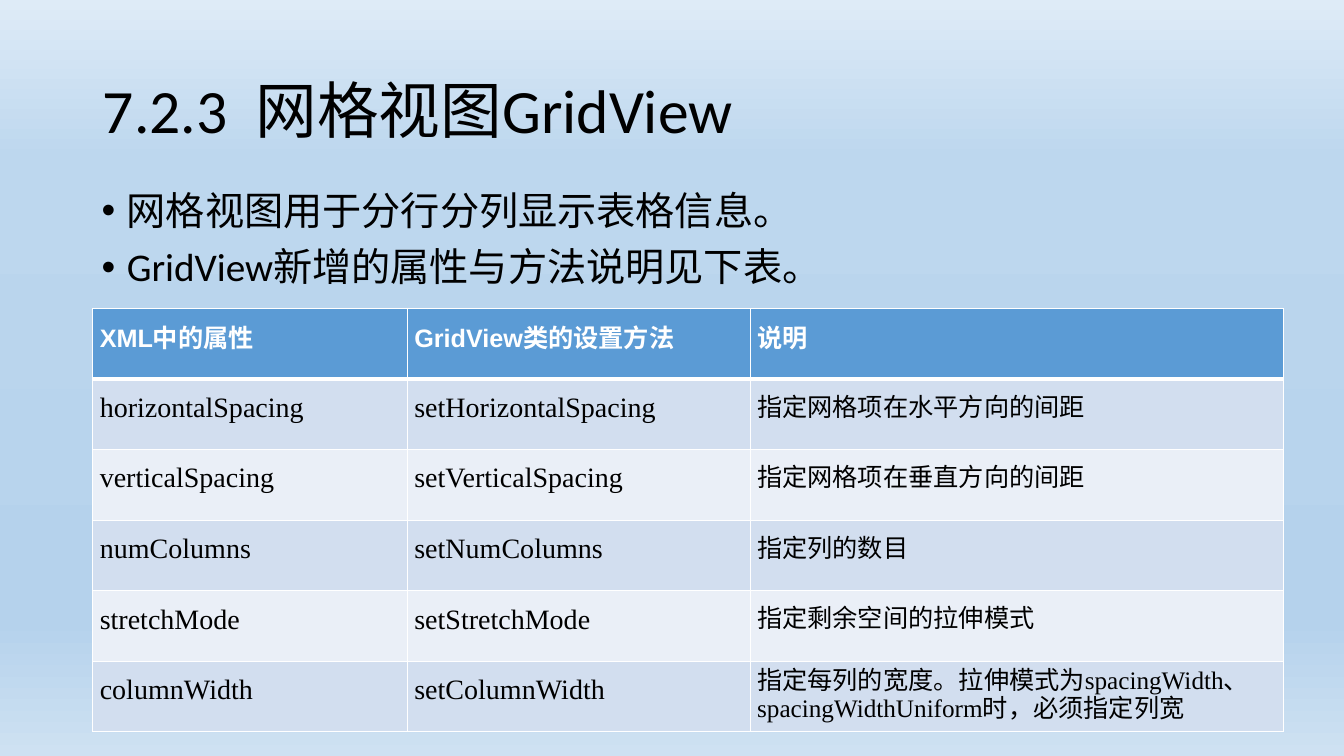
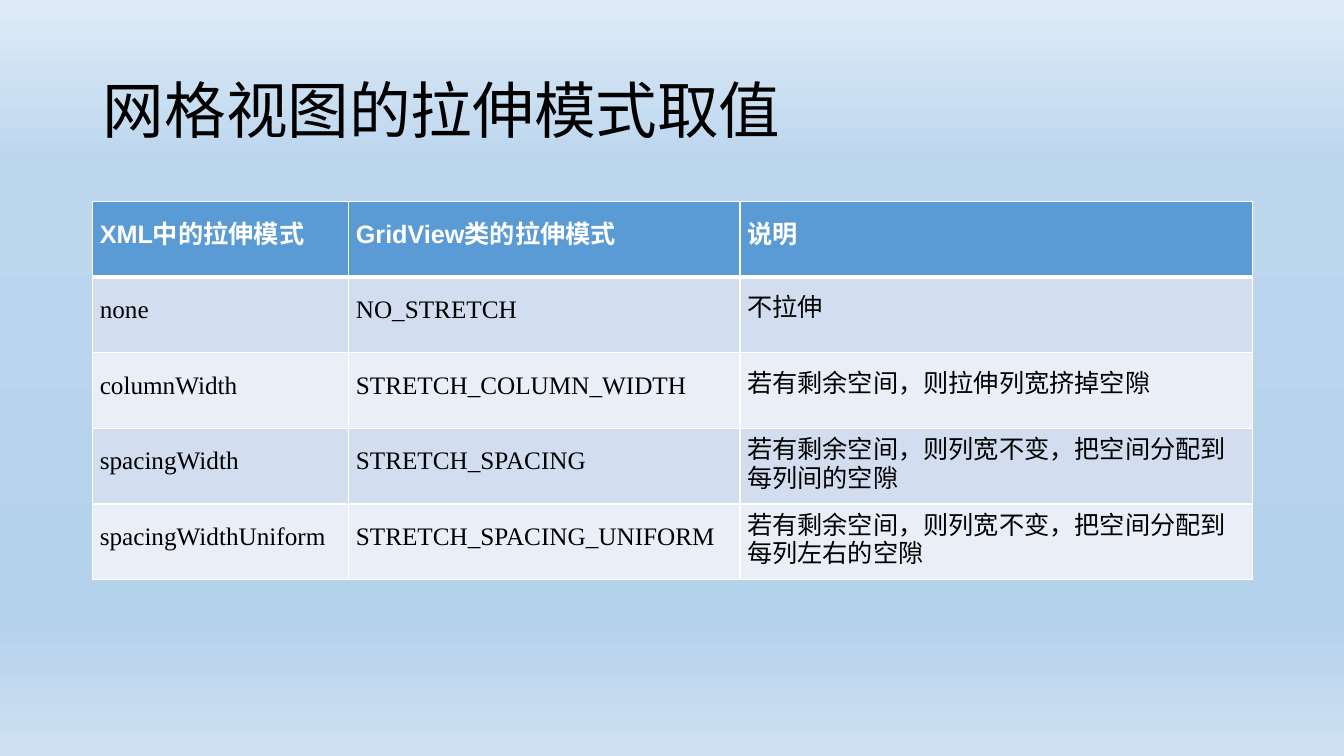
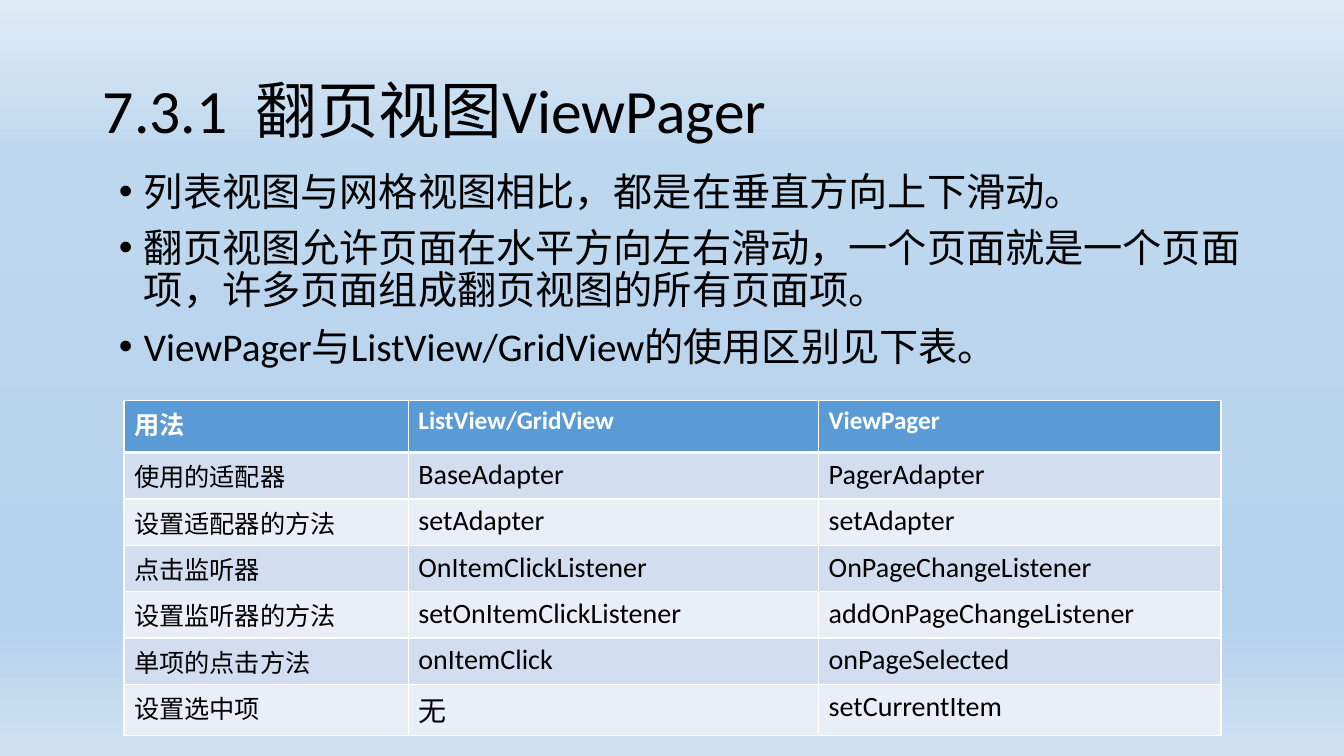
"""Three slides on grid and pager views, each a title, optional bullets and a table."""
from copy import deepcopy
from dataclasses import dataclass

from pptx import Presentation
from pptx.dml.color import RGBColor
from pptx.enum.text import MSO_ANCHOR, MSO_AUTO_SIZE, PP_ALIGN
from pptx.oxml.ns import qn
from pptx.util import Inches, Pt
from lxml.etree import SubElement


@dataclass(frozen=True)
class Theme:
    sky: tuple = ((0, "DEEBF7"), (0.21, "BDD7EE"), (0.82, "B5D2EC"), (1, "CEE1F2"))
    ink: str = "000000"
    white: str = "FFFFFF"
    head: str = "5B9BD5"
    bands: tuple = ("D2DEEF", "EAEFF7")
    font: str = "Calibri"
    title: int = 44
    body: int = 28
    label: int = 18
    edge: int = 1
    rule: int = 3


LOOK = Theme()
WIDE, HIGH = 13.33, 7.5
LEFT, SPAN = 0.92, 11.5
FORMAL = dict(head_font="Arial", font="Times New Roman", tight=True)

SLIDES = [
    dict(
        title="7.2.3  网格视图GridView",
        body=dict(at=(0.91, 1.85, SPAN, 1.15), lines=[
            "网格视图用于分行分列显示表格信息。",
            "GridView新增的属性与方法说明见下表。",
        ]),
        table=dict(
            FORMAL, at=(LEFT, 3.06), cols=(3.12, 3.4, 5.29), heights=[0.7] * 6,
            sizes=(20, 20, 18),
            rows=[
                ("XML中的属性", "GridView类的设置方法", "说明"),
                ("horizontalSpacing", "setHorizontalSpacing", "指定网格项在水平方向的间距"),
                ("verticalSpacing", "setVerticalSpacing", "指定网格项在垂直方向的间距"),
                ("numColumns", "setNumColumns", "指定列的数目"),
                ("stretchMode", "setStretchMode", "指定剩余空间的拉伸模式"),
                ("columnWidth", "setColumnWidth",
                 "指定每列的宽度。拉伸模式为spacingWidth、spacingWidthUniform时，必须指定列宽"),
            ]),
    ),
    dict(
        title="网格视图的拉伸模式取值",
        table=dict(
            FORMAL, at=(LEFT, 2), cols=(2.54, 3.88, 5.08), heights=[0.75] * 5,
            sizes=(18, 18, 18),
            rows=[
                ("XML中的拉伸模式", "GridView类的拉伸模式", "说明"),
                ("none", "NO_STRETCH", "不拉伸"),
                ("columnWidth", "STRETCH_COLUMN_WIDTH", "若有剩余空间，则拉伸列宽挤掉空隙"),
                ("spacingWidth", "STRETCH_SPACING",
                 "若有剩余空间，则列宽不变，把空间分配到每列间的空隙"),
                ("spacingWidthUniform", "STRETCH_SPACING_UNIFORM",
                 "若有剩余空间，则列宽不变，把空间分配到每列左右的空隙"),
            ]),
    ),
    dict(
        title="7.3.1  翻页视图ViewPager",
        body=dict(at=(1.08, 1.66, SPAN, 2.2), lines=[
            "列表视图与网格视图相比，都是在垂直方向上下滑动。",
            "翻页视图允许页面在水平方向左右滑动，一个页面就是一个页面项，许多页面组成翻页视图的所有页面项。",
            "ViewPager与ListView/GridView的使用区别见下表。",
        ]),
        table=dict(
            at=(1.23, 3.97), cols=(2.82, 4.07, 3.99),
            heights=[0.52] + [0.46] * 5 + [0.51], sizes=(18, 20, 20),
            rows=[
                ("用法", "ListView/GridView", "ViewPager"),
                ("使用的适配器", "BaseAdapter", "PagerAdapter"),
                ("设置适配器的方法", "setAdapter", "setAdapter"),
                ("点击监听器", "OnItemClickListener", "OnPageChangeListener"),
                ("设置监听器的方法", "setOnItemClickListener", "addOnPageChangeListener"),
                ("单项的点击方法", "onItemClick", "onPageSelected"),
                ("设置选中项", "无", "setCurrentItem"),
            ]),
    ),
]


def write(frame, *lines, size, font=LOOK.font, color=LOOK.ink, bold=False,
          align=PP_ALIGN.LEFT, spacing=None, before=0, bullet=False):
    frame.word_wrap = True
    for i, line in enumerate(lines):
        para = frame.add_paragraph() if i else frame.paragraphs[0]
        if bullet:
            props = para._p.get_or_add_pPr()
            props.set("marL", str(Inches(0.25)))
            props.set("indent", str(-Inches(0.25)))
            SubElement(props, qn("a:buFont")).set("typeface", "Arial")
            SubElement(props, qn("a:buChar")).set("char", "•")
        para.alignment = align
        para.line_spacing = spacing
        para.space_before = Pt(before if i else 0)
        run = para.add_run()
        run.text = line
        run.font.size, run.font.name, run.font.bold = Pt(size), font, bold
        run.font.color.rgb = RGBColor.from_string(color)


def place(shape, at):
    shape.left, shape.top, shape.width, shape.height = map(Inches, at)


def paint(master):
    fill = master.background.fill
    fill.gradient()
    fill.gradient_angle = 270
    stops = master.element.find(".//" + qn("a:gsLst"))
    for stop in list(stops):
        stops.append(deepcopy(stop))
    for stop, (share, color) in zip(fill.gradient_stops, LOOK.sky):
        stop.position = share
        stop.color.rgb = RGBColor.from_string(color)


def border(cell, head):
    props = cell._tc.get_or_add_tcPr()
    for side in "LRTB":
        width = LOOK.rule if head and side == "B" else LOOK.edge
        line = SubElement(props, qn("a:ln" + side), w=str(Pt(width)))
        fill = SubElement(line, qn("a:solidFill"))
        SubElement(fill, qn("a:srgbClr")).set("val", LOOK.white)


def grid(slide, at, cols, heights, sizes, rows,
         head_font=LOOK.font, font=LOOK.font, tight=False):
    size = sum(cols), sum(heights)
    table = slide.shapes.add_table(len(rows), len(cols), *map(Inches, at + size)).table
    for col, width in zip(table.columns, cols):
        col.width = Inches(width)
    for r, texts in enumerate(rows):
        head = r == 0
        table.rows[r].height = Inches(heights[r])
        for c, text in enumerate(texts):
            cell = table.cell(r, c)
            border(cell, head)
            cell.fill.solid()
            cell.fill.fore_color.rgb = RGBColor.from_string(
                LOOK.head if head else LOOK.bands[(r - 1) % 2])
            spacing = None
            if tight:
                cell.vertical_anchor = MSO_ANCHOR.MIDDLE
                cell.margin_left = cell.margin_right = Inches(0.07)
                cell.margin_top = cell.margin_bottom = 0
                wraps = c == 2 and len(text) > 20
                spacing = Pt(15.6 if head else 20 if wraps else 13)
            write(cell.text_frame, text, spacing=spacing, bold=head,
                  size=LOOK.label if head else sizes[c],
                  font=head_font if head else font,
                  color=LOOK.white if head else LOOK.ink,
                  align=PP_ALIGN.JUSTIFY if head and tight else PP_ALIGN.LEFT)


def build(deck, title, table, body=None):
    slide = deck.slides.add_slide(deck.slide_layouts[5])
    head = slide.shapes.title
    place(head, (LEFT, 0.4, SPAN, 1.45))
    head.text_frame.vertical_anchor = MSO_ANCHOR.MIDDLE
    head.text_frame.auto_size = MSO_AUTO_SIZE.NONE
    write(head.text_frame, title, size=LOOK.title, spacing=0.9)
    if body:
        box = slide.shapes.add_textbox(*map(Inches, body["at"]))
        write(box.text_frame, *body["lines"], size=LOOK.body,
              spacing=0.9, before=10, bullet=True)
    grid(slide, **table)


def main():
    deck = Presentation()
    deck.slide_width, deck.slide_height = Inches(WIDE), Inches(HIGH)
    paint(deck.slide_master)
    for page in SLIDES:
        build(deck, **page)
    deck.save("out.pptx")


if __name__ == "__main__":
    main()
